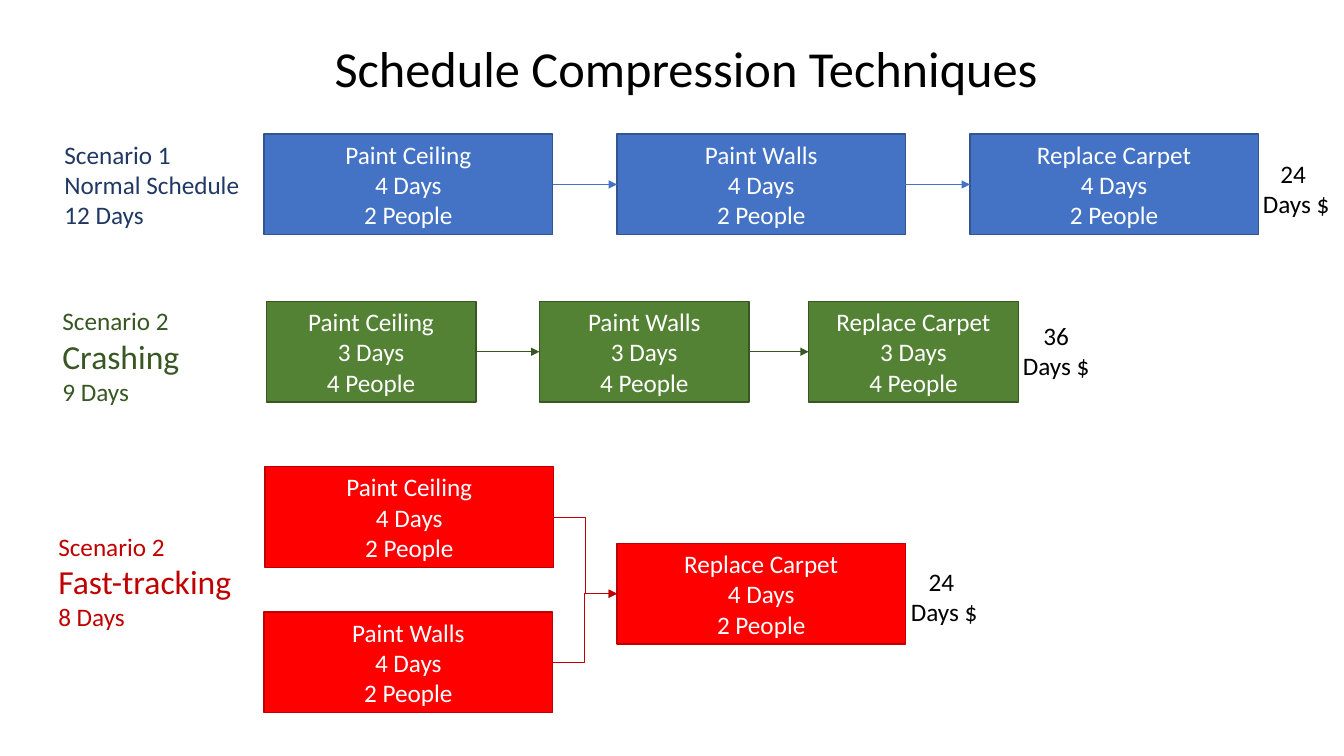
from dataclasses import dataclass

from lxml import etree
from pptx import Presentation
from pptx.dml.color import RGBColor
from pptx.enum.shapes import MSO_CONNECTOR, MSO_SHAPE
from pptx.enum.text import MSO_ANCHOR, MSO_AUTO_SIZE, PP_ALIGN
from pptx.oxml.ns import qn
from pptx.shapes.autoshape import Shape
from pptx.slide import Slide
from pptx.util import Pt

SCALE = 9144
FONT = "Calibri"
RECT = MSO_SHAPE.RECTANGLE
STRAIGHT = MSO_CONNECTOR.STRAIGHT
ELBOW = MSO_CONNECTOR.ELBOW
LEFT = PP_ALIGN.LEFT
CENTER = PP_ALIGN.CENTER
MIDDLE = MSO_ANCHOR.MIDDLE
GROW = MSO_AUTO_SIZE.SHAPE_TO_FIT_TEXT
LEFT_SIDE, RIGHT_SIDE = 1, 3
TASK_HIGH = 100
TEXT_SIZE = 18


@dataclass(frozen=True)
class Theme:
    fill: str
    edge: str
    link: str
    width: int
    load: str


@dataclass(frozen=True)
class Task:
    name: str
    left: int
    top: int
    theme: Theme


@dataclass(frozen=True)
class Note:
    text: str
    left: int
    top: int
    width: int
    height: int
    color: str = "000000"
    sizes: tuple[int, ...] = (TEXT_SIZE, TEXT_SIZE)
    align: PP_ALIGN = CENTER
    wrap: bool = False


BLUE = Theme("4472C4", "325491", "4472C4", 286, "4 Days\n2 People")
GREEN = Theme("548235", "385723", "385723", 208, "3 Days\n4 People")
RED = Theme("FF0000", "C00000", "C00000", 286, "4 Days\n2 People")

CEILING, WALLS, CARPET = "Paint Ceiling", "Paint Walls", "Replace Carpet"

CHAINS = [
    [Task(CEILING, 262, 133, BLUE), Task(WALLS, 612, 133, BLUE),
     Task(CARPET, 962, 133, BLUE)],
    [Task(CEILING, 264, 299, GREEN), Task(WALLS, 535, 299, GREEN),
     Task(CARPET, 802, 299, GREEN)],
]
STARTS = [Task(CEILING, 263, 463, RED), Task(WALLS, 262, 607, RED)]
FINISH = Task(CARPET, 612, 539, RED)

NOTES = [
    Note("Scenario 1\nNormal Schedule\n12 Days", 54, 133, 198, 101,
         "203864", (18, 18, 18), LEFT),
    Note("Scenario 2\nCrashing\n9 Days", 52, 298, 190, 111,
         "385723", (18, 24, 18), LEFT, True),
    Note("Scenario 2\nFast-tracking\n8 Days", 48, 522, 194, 111,
         "C00000", (18, 24, 18), LEFT),
    Note("24 \nDays $", 1242, 152, 87, 71),
    Note("24 \nDays $", 893, 557, 87, 71),
    Note("36\nDays $", 1004, 313, 87, 71),
    Note("Schedule Compression Techniques", 322, 32, 724, 71,
         sizes=(36,), align=LEFT),
]


def px(count: int) -> int:
    return count * SCALE


def paint(code: str) -> RGBColor:
    return RGBColor.from_string(code)


def write(shape: Shape, text: str, sizes: tuple[int, ...], color: str,
          align: PP_ALIGN) -> None:
    frame = shape.text_frame
    frame.text = text
    for para, size in zip(frame.paragraphs, sizes):
        para.alignment = align
        for run in para.runs:
            run.font.name = FONT
            run.font.size = Pt(size)
            run.font.color.rgb = paint(color)


def draw_task(slide: Slide, task: Task) -> Shape:
    theme = task.theme
    box = slide.shapes.add_shape(RECT, px(task.left), px(task.top),
                                 px(theme.width), px(TASK_HIGH))
    box.shadow.inherit = False
    box.fill.solid()
    box.fill.fore_color.rgb = paint(theme.fill)
    box.line.color.rgb = paint(theme.edge)
    box.line.width = Pt(1)
    box.text_frame.vertical_anchor = MIDDLE
    write(box, f"{task.name}\n{theme.load}", (TEXT_SIZE,) * 3, "FFFFFF", CENTER)
    return box


def draw_link(slide: Slide, first: Shape, last: Shape, kind: MSO_CONNECTOR,
              color: str) -> None:
    link = slide.shapes.add_connector(kind, 0, 0, 0, 0)
    link.begin_connect(first, RIGHT_SIDE)
    link.end_connect(last, LEFT_SIDE)
    link.line.color.rgb = paint(color)
    link.line.width = Pt(0.5)
    props = link.element.spPr
    etree.SubElement(props.find(qn("a:ln")), qn("a:tailEnd"), type="triangle")
    etree.SubElement(props, qn("a:effectLst"))


def draw_note(slide: Slide, note: Note) -> None:
    box = slide.shapes.add_textbox(px(note.left), px(note.top),
                                   px(note.width), px(note.height))
    box.text_frame.word_wrap = note.wrap
    box.text_frame.auto_size = GROW
    write(box, note.text, note.sizes, note.color, note.align)


def main() -> None:
    deck = Presentation()
    deck.slide_width, deck.slide_height = px(1333), px(750)
    slide = deck.slides.add_slide(deck.slide_layouts[6])

    for chain in CHAINS:
        boxes = [draw_task(slide, task) for task in chain]
        for first, last in zip(boxes, boxes[1:]):
            draw_link(slide, first, last, STRAIGHT, chain[0].theme.link)

    starts = [draw_task(slide, task) for task in STARTS]
    finish = draw_task(slide, FINISH)
    for start in starts:
        draw_link(slide, start, finish, ELBOW, RED.link)

    for note in NOTES:
        draw_note(slide, note)
    deck.save("out.pptx")


if __name__ == "__main__":
    main()
